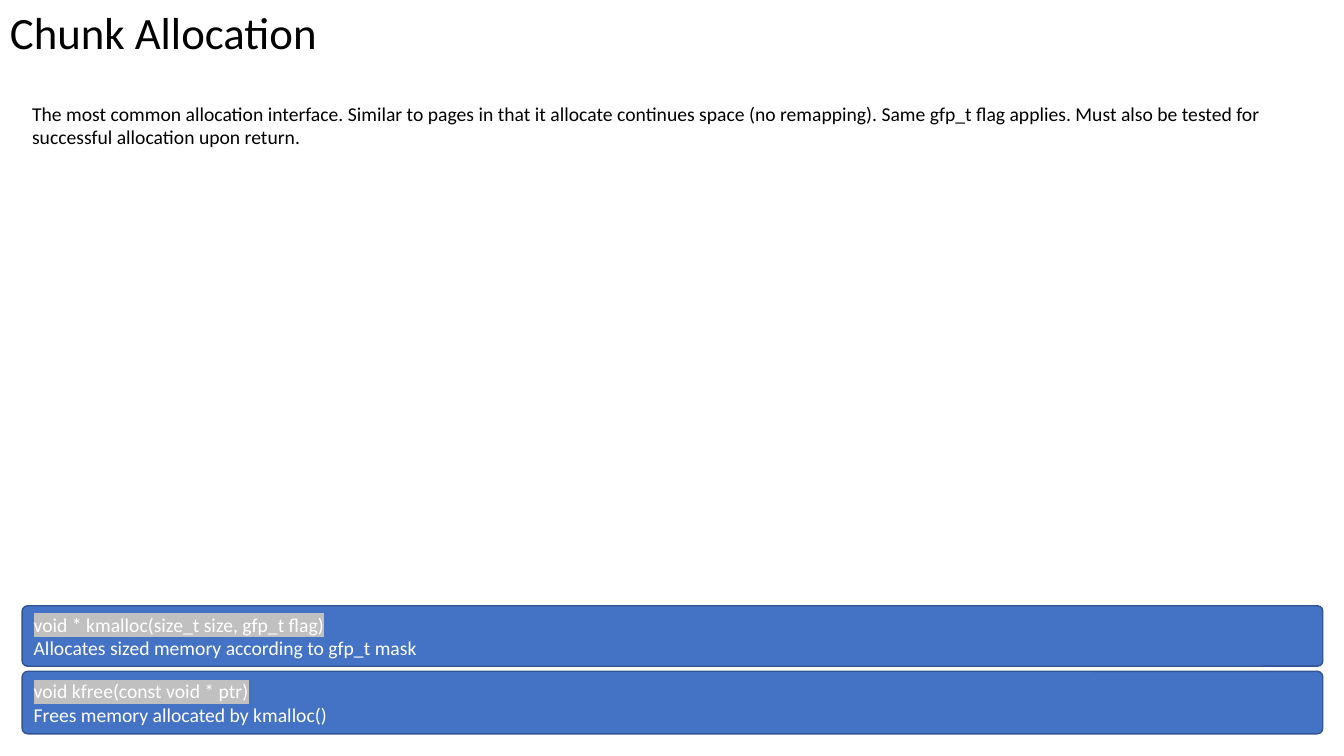
"""Builds the Chunk Allocation slide."""
from lxml import etree
from pptx import Presentation
from pptx.dml.color import RGBColor
from pptx.enum.shapes import MSO_SHAPE
from pptx.enum.text import MSO_ANCHOR, MSO_AUTO_SIZE, PP_ALIGN
from pptx.oxml.ns import qn
from pptx.util import Inches, Pt

ROUND = MSO_SHAPE.ROUNDED_RECTANGLE
MIDDLE = MSO_ANCHOR.MIDDLE
GROW = MSO_AUTO_SIZE.SHAPE_TO_FIT_TEXT
LEFT = PP_ALIGN.LEFT

EDGE, WIDE = Inches(0.22), Inches(12.9)
BLACK, WHITE, BLUE, NAVY, GREY = "000000", "FFFFFF", "4472C4", "325491", "C0C0C0"


def color(code):
    return RGBColor.from_string(code)


def write(para, text, size, code, mark=None):
    para.alignment = LEFT
    run = para.add_run()
    run.text = text
    font = run.font
    font.name, font.size = "Calibri", Pt(size)
    font.color.rgb = color(code)
    if mark:
        light = etree.Element(qn("a:highlight"))
        etree.SubElement(light, qn("a:srgbClr")).set("val", mark)
        run._r.rPr.find(qn("a:solidFill")).addnext(light)


deck = Presentation()
deck.slide_width, deck.slide_height = Inches(13.33), Inches(7.5)
slide = deck.slides.add_slide(deck.slide_layouts[6])
shapes = slide.shapes

title = shapes.add_textbox(0, Inches(0.04), Inches(11.5), Inches(0.62)).text_frame
title.word_wrap = True
title.vertical_anchor = MIDDLE
title.paragraphs[0].line_spacing = 0.9
write(title.paragraphs[0], "Chunk Allocation", 32, BLACK)

calls = [
    (6.01, 0.6, "void * kmalloc(size_t size, gfp_t flag)",
     "Allocates sized memory according to gfp_t mask"),
    (6.66, 0.62, "void kfree(const void * ptr)",
     "Frees memory allocated by kmalloc()"),
]
for top, high, code, use in calls:
    box = shapes.add_shape(ROUND, EDGE, Inches(top), WIDE, Inches(high))
    box.adjustments[0] = 0.09
    box.shadow.inherit = False
    box.fill.solid()
    box.fill.fore_color.rgb = color(BLUE)
    box.line.color.rgb = color(NAVY)
    box.line.width = Pt(1)
    frame = box.text_frame
    frame.word_wrap = True
    frame.vertical_anchor = MIDDLE
    write(frame.paragraphs[0], code, 14, WHITE, GREY)
    write(frame.add_paragraph(), use, 14, WHITE)

intro = shapes.add_textbox(EDGE, Inches(0.96), WIDE, Inches(0.57)).text_frame
intro.word_wrap = True
intro.auto_size = GROW
write(intro.paragraphs[0],
      "The most common allocation interface. Similar to pages in that it allocate "
      "continues space (no remapping). Same gfp_t flag applies. Must also be tested "
      "for successful allocation upon return.", 14, BLACK)

deck.save("out.pptx")
